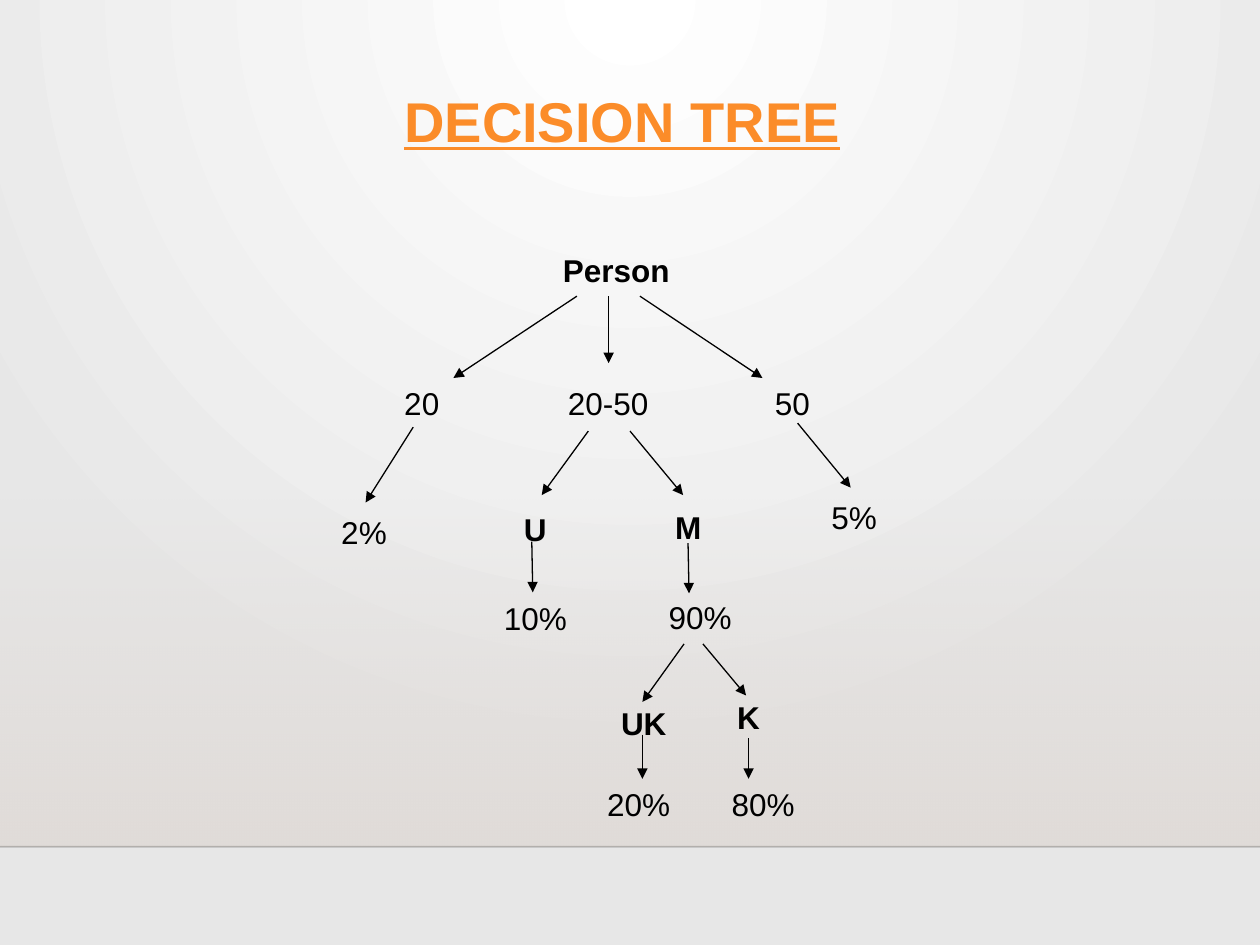
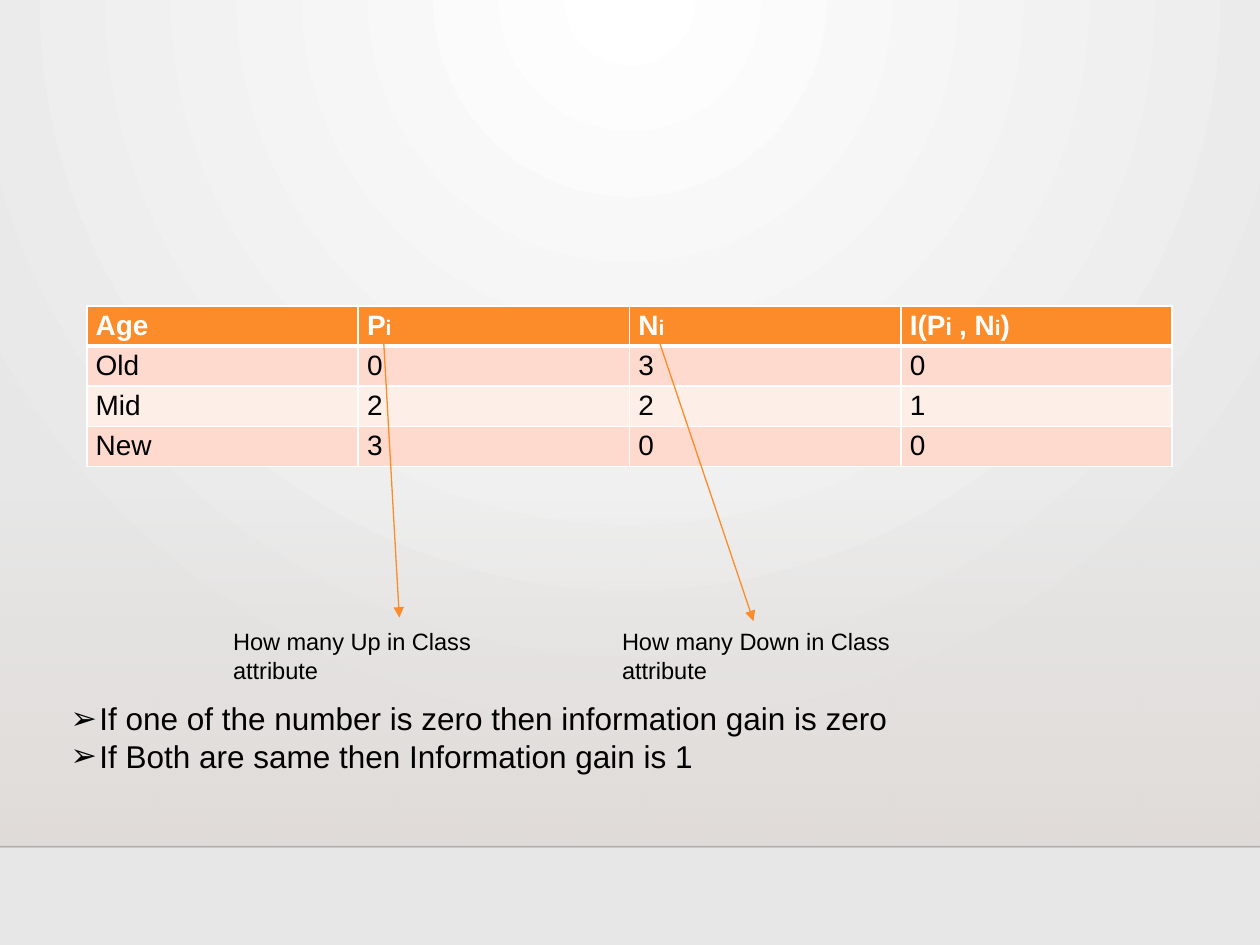
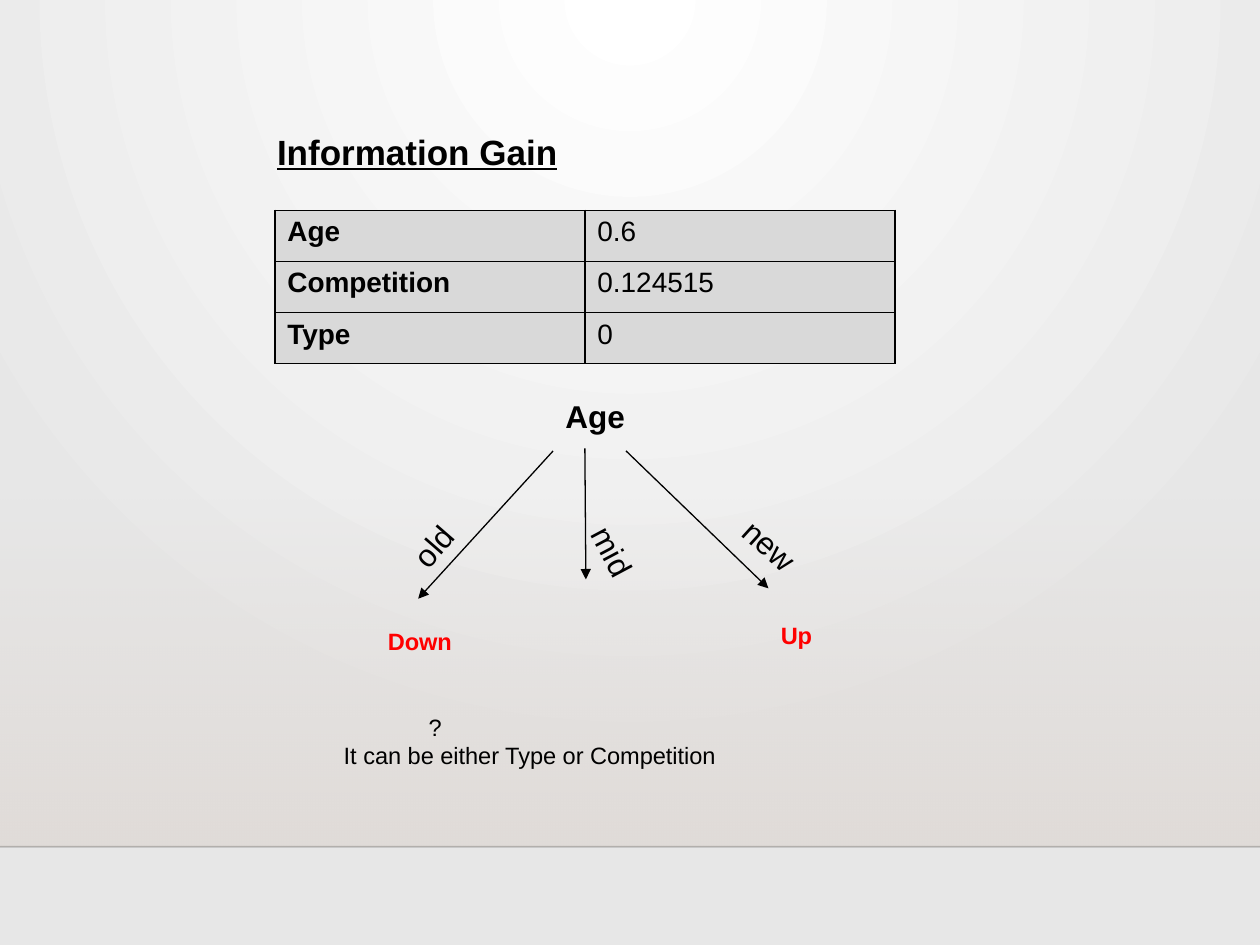
from dataclasses import dataclass

from lxml.etree import SubElement
from pptx import Presentation
from pptx.dml.color import RGBColor
from pptx.enum.shapes import MSO_CONNECTOR, MSO_SHAPE
from pptx.enum.text import MSO_ANCHOR, MSO_AUTO_SIZE, PP_ALIGN
from pptx.oxml.ns import qn
from pptx.util import Cm, Pt


@dataclass(frozen=True)
class Theme:
    font: str = "Arial"
    accent: str = "FB8C29"
    ink: str = "000000"
    white: str = "FFFFFF"
    alert: str = "FF0000"
    edge: str = "E7E7E7"
    floor: str = "DFD9D5"
    band_odd: str = "FDDACD"
    band_even: str = "FEEEE8"
    grey: str = "D9D9D9"
    title: float = 32
    heading: float = 20
    label: float = 18
    cell: float = 16
    small_cell: float = 14
    subscript: float = 12
    note: float = 13.5


THEME = Theme()
TITLE_ONLY, TITLE_AND_BODY = 5, 1
LABEL_HEIGHT, NOTE_HEIGHT = 1.02, 0.84


def rgb(colour):
    return RGBColor.from_string(colour)


def set_alpha(colour_element, percent):
    SubElement(colour_element, qn("a:alpha"), val=str(percent * 1000))


def set_gradient(fill, start, end):
    fill.gradient()
    for stop, colour, position in zip(fill.gradient_stops, (start, end), (0, 1)):
        stop.color.rgb = rgb(colour)
        stop.position = position


def set_indent(paragraph, left, first=0.0):
    properties = paragraph._p.get_or_add_pPr()
    properties.set("marL", str(Cm(left)))
    properties.set("indent", str(Cm(first)))
    return properties


def set_borders(cell, colour, top=1, bottom=1):
    properties = cell._tc.get_or_add_tcPr()
    for side, points in (("L", 1), ("R", 1), ("T", top), ("B", bottom)):
        border = SubElement(properties, qn(f"a:ln{side}"), w=str(Pt(points)))
        fill = SubElement(border, qn("a:solidFill"))
        SubElement(fill, qn("a:srgbClr"), val=colour)


class Deck:
    def __init__(self, theme):
        self.theme = theme
        self.presentation = Presentation()
        self.presentation.slide_width = Cm(25.4)
        self.presentation.slide_height = Cm(19.05)
        self.slide = None

    def new_slide(self, layout):
        layouts = self.presentation.slide_layouts
        self.slide = self.presentation.slides.add_slide(layouts[layout])

    def style_master(self):
        """Give the master its radial background, floor band and floor line."""
        theme, master = self.theme, self.presentation.slide_master
        set_gradient(master.background.fill, theme.white, theme.edge)
        gradient = next(master.element.cSld.iter(qn("a:gradFill")))
        gradient.remove(gradient.find(qn("a:lin")))
        circle = SubElement(gradient, qn("a:path"), path="circle")
        SubElement(circle, qn("a:fillToRect"), l="43000", t="0", r="43000", b="100000")

        floor = self.slide.shapes.add_shape(
            MSO_SHAPE.RECTANGLE, 0, Cm(10.06), Cm(25.4), Cm(7))
        floor.shadow.inherit = False
        floor.line.fill.background()
        set_gradient(floor.fill, theme.floor, theme.floor)
        floor.fill.gradient_angle = 270
        stops = floor.element.spPr.iter(qn("a:srgbClr"))
        for colour, percent in zip(list(stops), (0, 80)):
            set_alpha(colour, percent)

        floor_line = self.line((0, 17.07), (25.4, 17.07), "000001", 1)
        set_alpha(next(floor_line.element.spPr.iter(qn("a:srgbClr"))), 20)

        for order, part in enumerate((floor, floor_line)):
            next(part.element.iter(qn("p:cNvPr"))).set("id", str(20 + order))
            master.element.cSld.spTree.insert(2 + order, part.element)

    def format(self, paragraph, size, colour, bold=False, underline=False):
        for run in paragraph.runs:
            run.font.name = self.theme.font
            run.font.size = Pt(size)
            run.font.bold = bold
            run.font.underline = underline
            run.font.color.rgb = rgb(colour)

    def place(self, placeholder, left, top, width, height):
        placeholder.left, placeholder.top = Cm(left), Cm(top)
        placeholder.width, placeholder.height = Cm(width), Cm(height)

    def title(self, text, box, size, colour, align, wrap=True):
        title = self.slide.shapes.title
        self.place(title, *box)
        frame = title.text_frame
        frame.text = text
        frame.word_wrap = wrap
        frame.auto_size = MSO_AUTO_SIZE.NONE
        frame.vertical_anchor = MSO_ANCHOR.MIDDLE
        paragraph = frame.paragraphs[0]
        paragraph.alignment = align
        paragraph.line_spacing = 0.9
        self.format(paragraph, size, colour, bold=True, underline=True)

    def bullets(self, items, box):
        body = self.slide.placeholders[1]
        self.place(body, *box)
        frame = body.text_frame
        frame.text = "\n".join(items)
        frame.auto_size = MSO_AUTO_SIZE.NONE
        for paragraph in frame.paragraphs:
            paragraph.space_before = Pt(0)
            properties = set_indent(paragraph, 0.58, -0.58)
            SubElement(properties, qn("a:buFont"), typeface=self.theme.font)
            SubElement(properties, qn("a:buChar"), char="➢")
            self.format(paragraph, self.theme.label, self.theme.ink)

    def text(self, text, left, top, width, height=LABEL_HEIGHT, size=THEME.label,
             colour=THEME.ink, bold=False, wrap=False, rotation=0.0):
        box = self.slide.shapes.add_textbox(Cm(left), Cm(top), Cm(width), Cm(height))
        box.rotation = rotation
        frame = box.text_frame
        frame.text = text
        frame.word_wrap = wrap
        frame.auto_size = MSO_AUTO_SIZE.SHAPE_TO_FIT_TEXT
        for paragraph in frame.paragraphs:
            self.format(paragraph, size, colour, bold)
        return frame

    def line(self, start, end, colour, points):
        connector = self.slide.shapes.add_connector(
            MSO_CONNECTOR.STRAIGHT, *(Cm(value) for value in (*start, *end)))
        connector.line.color.rgb = rgb(colour)
        connector.line.width = Pt(points)
        SubElement(connector.element.spPr, qn("a:effectLst"))
        return connector

    def arrow(self, start, end, colour=THEME.ink):
        connector = self.line(start, end, colour, 0.75)
        outline = connector.element.spPr.find(qn("a:ln"))
        SubElement(outline, qn("a:tailEnd"), type="triangle")

    def table(self, rows, left, top, column_width, row_height, style_cell):
        """Add a table; style_cell(cell, row, column) returns size, colour and bold."""
        columns = len(rows[0])
        table = self.slide.shapes.add_table(
            len(rows), columns, Cm(left), Cm(top),
            Cm(column_width * columns), Cm(row_height * len(rows))).table
        table.first_row = table.horz_banding = False
        for column in table.columns:
            column.width = Cm(column_width)
        for r, row in enumerate(rows):
            table.rows[r].height = Cm(row_height)
            for c, content in enumerate(row):
                cell = table.cell(r, c)
                parts = [(content, None)] if isinstance(content, str) else content
                paragraph = cell.text_frame.paragraphs[0]
                for part, _ in parts:
                    paragraph.add_run().text = part
                self.format(paragraph, *style_cell(cell, r, c))
                for run, (_, size) in zip(paragraph.runs, parts):
                    if size:
                        run.font.size = Pt(size)

    def remove_empty_placeholders(self):
        for placeholder in list(self.slide.placeholders):
            if not placeholder.text_frame.text:
                placeholder.element.getparent().remove(placeholder.element)


def style_gain_cell(cell, row, column):
    cell.margin_left = cell.margin_right = Cm(0.18)
    cell.margin_top = cell.margin_bottom = Cm(0.09)
    set_borders(cell, THEME.white, top=3 if row == 1 else 1, bottom=1 if row else 3)
    cell.fill.solid()
    if row == 0:
        cell.fill.fore_color.rgb = rgb(THEME.accent)
        return THEME.cell, THEME.white, True
    cell.fill.fore_color.rgb = rgb(THEME.band_odd if row % 2 else THEME.band_even)
    return THEME.cell, THEME.ink, False


def style_summary_cell(cell, row, column):
    set_borders(cell, THEME.ink)
    cell.fill.solid()
    cell.fill.fore_color.rgb = rgb(THEME.grey)
    return THEME.cell, THEME.ink, column == 0


def add_decision_tree(deck):
    deck.new_slide(TITLE_ONLY)
    deck.style_master()
    deck.title("DECISION TREE", (3.86, 1.04, 17.37, 2.92),
               THEME.title, THEME.accent, PP_ALIGN.CENTER)
    attributes = [("M", 13.36, 10.11, 1.04), ("U", 10.31, 10.16, 0.97),
                  ("UK", 12.27, 14.07, 1.45), ("K", 14.61, 13.94, 0.97)]
    values = [("20", 7.9, 7.62, 1.22), ("50", 15.37, 7.62, 1.22),
              ("5%", 16.51, 9.91, 1.45), ("10%", 9.91, 11.96, 1.8),
              ("90%", 13.23, 11.94, 1.8), ("20%", 11.99, 15.7, 1.8),
              ("80%", 14.5, 15.7, 1.8)]
    deck.text("Person", 11.1, 4.93, 3.18, bold=True, wrap=True)
    deck.text("20-50", 11.2, 7.62, 2.16, wrap=True)
    deck.text("2%", 6.63, 10.21, 2.08, wrap=True)
    for attribute in attributes:
        deck.text(*attribute, bold=True)
    for value in values:
        deck.text(*value)
    branches = [
        ((12.27, 5.97), (12.27, 7.32)), ((12.9, 5.97), (15.37, 7.62)),
        ((11.63, 5.97), (9.14, 7.62)), ((8.33, 8.61), (7.37, 10.13)),
        ((12.7, 8.69), (13.77, 9.98)), ((11.86, 8.69), (10.92, 9.98)),
        ((16.08, 8.53), (17.15, 9.83)), ((13.87, 10.95), (13.89, 11.96)),
        ((10.72, 10.92), (10.74, 11.94)), ((13.79, 12.98), (12.95, 14.15)),
        ((14.17, 12.98), (15.04, 14.02)), ((15.09, 14.88), (15.09, 15.7)),
        ((12.95, 14.81), (12.95, 15.7)),
    ]
    for start, end in branches:
        deck.arrow(start, end)


def add_age_counts(deck):
    deck.new_slide(TITLE_AND_BODY)
    subscript = ("i", THEME.subscript)
    header = ["Age", [("P", None), subscript], [("N", None), subscript],
              [("I(P", None), ("i ", THEME.small_cell), (", N", None),
               subscript, (")", None)]]
    counts = [["Old", "0", "3", "0"], ["Mid", "2", "2", "1"], ["New", "3", "0", "0"]]
    deck.table([header, *counts], 1.75, 6.17, 5.47, 0.77, style_gain_cell)
    deck.arrow((7.72, 6.63), (8.05, 12.45), THEME.accent)
    deck.arrow((13.28, 6.86), (15.19, 12.52), THEME.accent)
    for direction, left, width in (("Up", 4.45, 6.55), ("Down", 12.29, 7.11)):
        deck.text(f"How many {direction} in Class attribute", left, 12.52, width,
                  1.42, size=THEME.note, wrap=True)
    deck.bullets(["If one of the number is zero then information gain is zero",
                  "If Both are same then Information gain is 1"],
                 (1.17, 13.97, 22.28, 1.8))
    deck.remove_empty_placeholders()


def add_information_gain(deck):
    deck.new_slide(TITLE_ONLY)
    deck.title("Information Gain", (5.33, 2.54, 6.2, 1.12),
               THEME.heading, THEME.ink, PP_ALIGN.LEFT, wrap=False)
    gains = [["Age", "0.6"], ["Competition", "0.124515"], ["Type", "0"]]
    deck.table(gains, 5.54, 4.24, 6.25, 1.03, style_summary_cell)

    deck.text("Age", 11.15, 7.87, 1.73, bold=True)
    for start, end in (((12.62, 9.09), (15.49, 11.86)),
                       ((11.15, 9.09), (8.43, 12.07)),
                       ((11.79, 9.04), (11.81, 11.68))):
        deck.arrow(start, end)
    for age, left, top, width, angle in (("new", 14.68, 10.49, 1.68, 42.2),
                                         ("old", 8.05, 10.49, 1.37, 311),
                                         ("mid", 11.58, 10.62, 1.55, 62)):
        deck.text(age, left, top, width, rotation=angle)

    for outcome in (("Down", 7.57, 12.52, 2.24), ("Up", 15.49, 12.4, 1.55)):
        deck.text(*outcome, NOTE_HEIGHT, size=THEME.note, colour=THEME.alert,
                  bold=True, wrap=True)
    open_question = deck.text("?\nIt can be either Type or Competition",
                              6.55, 14.25, 10.92, 1.42, size=THEME.note, wrap=True)
    for paragraph, indent in zip(open_question.paragraphs, (1.84, 0.13)):
        set_indent(paragraph, indent)


def main():
    deck = Deck(THEME)
    add_decision_tree(deck)
    add_age_counts(deck)
    add_information_gain(deck)
    deck.presentation.save("out.pptx")


if __name__ == "__main__":
    main()
